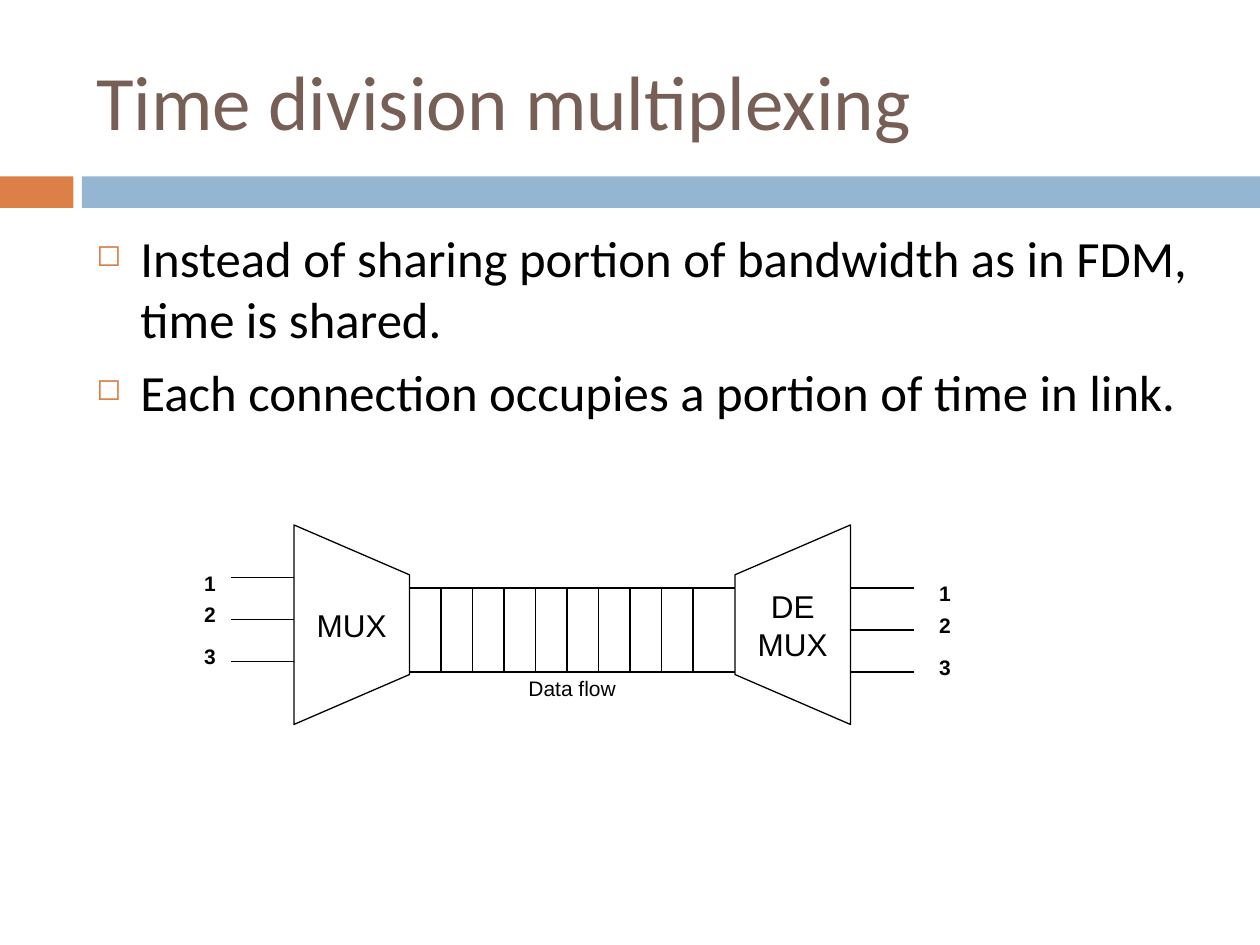
import pptx
import pptx.dml.color
import pptx.enum.shapes
import pptx.enum.text
import pptx.oxml.ns
import pptx.util
from lxml import etree

Pt = pptx.util.Pt
ALIGN = pptx.enum.text.PP_ALIGN
ANCHOR = pptx.enum.text.MSO_ANCHOR
ORANGE = pptx.dml.color.RGBColor(0xDD, 0x80, 0x47)
BLUE = pptx.dml.color.RGBColor(0x94, 0xB6, 0xD2)
BROWN = pptx.dml.color.RGBColor(0x77, 0x5F, 0x55)
BLACK = pptx.dml.color.RGBColor(0, 0, 0)

PIPE_LEFT, PIPE_RIGHT, PIPE_TOP, PIPE_BOTTOM = 234, 420, 336, 384
MUX_LEFT, DEMUX_RIGHT = 168, 486
LEAD_LENGTH, LEAD_GAP = 36, 24
SLOT_WIDTH, SLOT_LINES = 18, 9
LABEL_OFFSETS = (0, 18, 42)


def add_bar(slide, left, width, color):
    bar = slide.shapes.add_shape(
        pptx.enum.shapes.MSO_SHAPE.RECTANGLE, Pt(left), Pt(100.8), Pt(width), Pt(18))
    bar.shadow.inherit = False
    bar.fill.solid()
    bar.fill.fore_color.rgb = color
    bar.line.fill.background()


def add_span(para, text, size, font="Arial", color=BLACK, bold=False):
    span = para.add_run()
    span.text = text
    span.font.size = Pt(size)
    span.font.name = font
    span.font.color.rgb = color
    span.font.bold = bold


def write_lines(frame, lines, size, align=ALIGN.CENTER, **style):
    for index, line in enumerate(lines):
        para = frame.add_paragraph() if index else frame.paragraphs[0]
        para.alignment = align
        add_span(para, line, size, **style)


def add_text_box(slide, left, top, width, height, wrap=False, anchor=ANCHOR.MIDDLE):
    box = slide.shapes.add_textbox(Pt(left), Pt(top), Pt(width), Pt(height))
    frame = box.text_frame
    frame.word_wrap = wrap
    frame.vertical_anchor = anchor
    return frame


def add_bullet(para):
    properties = para._p.get_or_add_pPr()
    properties.set("marL", str(Pt(25.2)))
    properties.set("indent", str(-Pt(25.2)))
    qn = pptx.oxml.ns.qn
    color = etree.SubElement(properties, qn("a:buClr"))
    etree.SubElement(color, qn("a:srgbClr"), val=str(ORANGE))
    etree.SubElement(properties, qn("a:buSzPct"), val="60000")
    etree.SubElement(properties, qn("a:buChar"), char="◻")


def add_bullets(slide, lines):
    frame = add_text_box(slide, 48, 126, 642, 354, wrap=True, anchor=ANCHOR.TOP)
    write_lines(frame, lines, 29, align=ALIGN.LEFT, font="Calibri")
    for index, para in enumerate(frame.paragraphs):
        if index:
            para.space_before = Pt(7)
        add_bullet(para)


def add_line(slide, x1, y1, x2, y2):
    line = slide.shapes.add_connector(
        pptx.enum.shapes.MSO_CONNECTOR.STRAIGHT, Pt(x1), Pt(y1), Pt(x2), Pt(y2))
    line.line.color.rgb = BLACK
    line.line.width = Pt(0.75)
    etree.SubElement(line._element.spPr, pptx.oxml.ns.qn("a:effectLst"))


def add_trapezoid(slide, wide_x, narrow_x, lines):
    builder = slide.shapes.build_freeform(Pt(wide_x), Pt(414))
    corners = [(narrow_x, 385.5), (narrow_x, 328.5), (wide_x, 300)]
    builder.add_line_segments([(Pt(x), Pt(y)) for x, y in corners], close=True)
    shape = builder.convert_to_shape()
    shape.shadow.inherit = False
    shape.fill.background()
    shape.line.color.rgb = BLACK
    shape.line.width = Pt(0.75)
    shape.text_frame.word_wrap = False
    shape.text_frame.vertical_anchor = ANCHOR.MIDDLE
    write_lines(shape.text_frame, lines, 18)


def add_channels(slide, line_left, line_top, label_left, label_top):
    for index, offset in enumerate(LABEL_OFFSETS):
        y = line_top + index * LEAD_GAP
        add_line(slide, line_left, y, line_left + LEAD_LENGTH, y)
        frame = add_text_box(slide, label_left, label_top + offset, 36, 18)
        write_lines(frame, [str(index + 1)], 12, bold=True)


def add_pipe(slide):
    for y in (PIPE_TOP, PIPE_BOTTOM):
        add_line(slide, PIPE_LEFT, y, PIPE_RIGHT, y)
    for slot in range(1, SLOT_LINES + 1):
        x = PIPE_LEFT + slot * SLOT_WIDTH
        add_line(slide, x, PIPE_TOP, x, PIPE_BOTTOM)
    frame = add_text_box(slide, PIPE_LEFT, PIPE_BOTTOM, PIPE_RIGHT - PIPE_LEFT, 18)
    write_lines(frame, ["Data flow"], 12)


def main():
    deck = pptx.Presentation()
    deck.slide_width, deck.slide_height = Pt(720), Pt(540)
    slide = deck.slides.add_slide(deck.slide_layouts[6])

    add_bar(slide, 0, 42, ORANGE)
    add_bar(slide, 46.8, 673.2, BLUE)
    title = add_text_box(slide, 48, 18, 642, 78, wrap=True)
    write_lines(title, ["Time division multiplexing"], 44,
                align=ALIGN.LEFT, font="Calibri", color=BROWN)
    add_bullets(slide, [
        "Instead of sharing portion of bandwidth as in FDM, time is shared.",
        "Each connection occupies a portion of time in link.",
    ])

    add_trapezoid(slide, MUX_LEFT, PIPE_LEFT, ["MUX"])
    add_trapezoid(slide, DEMUX_RIGHT, PIPE_RIGHT, ["DE", "MUX"])
    add_channels(slide, MUX_LEFT - LEAD_LENGTH, 330, 102, 324)
    add_channels(slide, DEMUX_RIGHT, 336, 522, 330)
    add_pipe(slide)
    deck.save("out.pptx")


if __name__ == "__main__":
    main()
